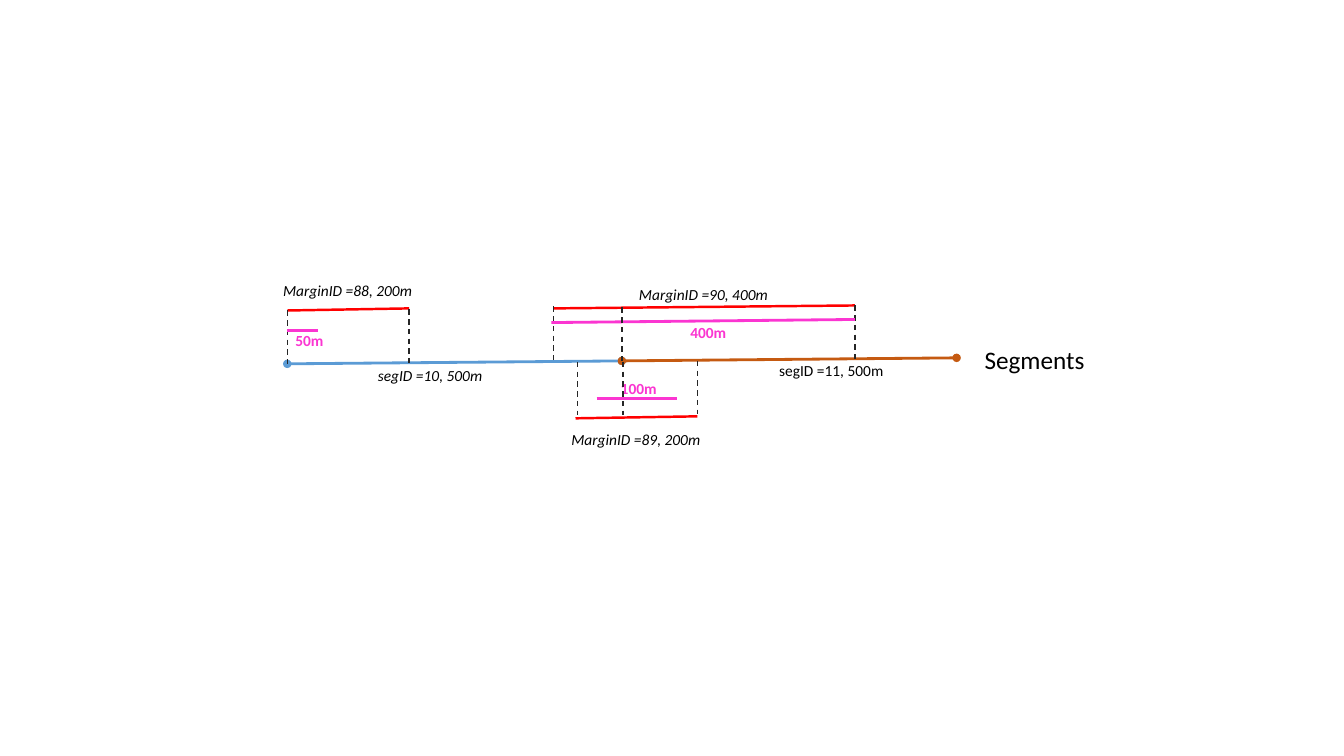
from pptx import Presentation
from pptx import util as u
from pptx.dml.color import RGBColor
from pptx.enum import dml, shapes, text
from pptx.oxml.ns import qn
from lxml import etree

Pt = u.Pt
COLORS = {
    "ink": "000000", "drop": "262626", "seg10": "5B9BD5",
    "seg11": "C55A11", "margin": "FF0000", "overlap": "FB35D1",
}
DROP_HEIGHT = 38


class Diagram:
    font = "Calibri"
    label_height = 20.9

    def __init__(self, slide):
        self.slide = slide

    def color(self, name):
        return RGBColor.from_string(COLORS[name])

    def line(self, x1, y1, x2, y2, color, width, dash=None, ends=None):
        sp = self.slide.shapes.add_connector(
            shapes.MSO_CONNECTOR.STRAIGHT, Pt(x1), Pt(y1), Pt(x2), Pt(y2))
        sp.line.color.rgb = self.color(color)
        for name, value in {"width": Pt(width), "dash_style": dash}.items():
            setattr(sp.line, name, value)
        if ends:
            ln = sp.line._get_or_add_ln()
            for tag in ("a:headEnd", "a:tailEnd"):
                etree.SubElement(ln, qn(tag)).set("type", ends)
        etree.SubElement(sp._element.spPr, qn("a:effectLst"))

    def drop(self, x, y):
        self.line(x, y, x, y + DROP_HEIGHT, "drop", 1, dash=dml.MSO_LINE.DASH)

    def label(self, words, x, y, w, color="ink", h=label_height, size=11, **style):
        sp = self.slide.shapes.add_textbox(Pt(x), Pt(y), Pt(w), Pt(h))
        tf = sp.text_frame
        for name, value in {"word_wrap": False,
                            "auto_size": text.MSO_AUTO_SIZE.SHAPE_TO_FIT_TEXT}.items():
            setattr(tf, name, value)
        r = tf.paragraphs[0].add_run()
        r.text = words
        r.font.color.rgb = self.color(color)
        for name, value in {"name": self.font, "size": Pt(size), **style}.items():
            setattr(r.font, name, value)


prs = Presentation()
prs.slide_width, prs.slide_height = Pt(960), Pt(540)
d = Diagram(prs.slides.add_slide(prs.slide_layouts[6]))

start, joint, end = (205.2, 259.9), (444.2, 257.8), (683.3, 255.6)
d.line(*start, *joint, "seg10", 2, ends="oval")
d.line(*joint, *end, "seg11", 2, ends="oval")

d.label("Segments", 696.2, 242.6, 86.4, h=29.1, size=18)
d.label("segID =10, 500m", 262.8, 257.8, 90, italic=True)
d.label("segID =11, 500m", 549.4, 254.2, 90)

for margin in [(205.2, 221.8, 292.3, 220.3),
               (395.3, 220.3, 610.6, 218.2),
               (411.1, 298.8, 498.2, 297.4)]:
    d.line(*margin, "margin", 1.75)

for words, x, y in [("MarginID =88, 200m", 195.1, 197.3),
                    ("MarginID =89, 200m", 401, 303.8),
                    ("MarginID =90, 400m", 449.3, 200.2)]:
    d.label(words, x, y, 107.3, italic=True)

for x, y in [(205.2, 221.8), (292.3, 221), (395.3, 218.9),
             (610.6, 218.2), (412.6, 258.5), (498.2, 257.8)]:
    d.drop(x, y)

for overlap in [(205.2, 236.2, 226.8, 236.2),
                (426.2, 284.4, 483.8, 284.4),
                (393.8, 230.4, 610.6, 228.2)]:
    d.line(*overlap, "overlap", 2)

for words, x, y, w in [("50m", 203.8, 233.3, 34.6),
                       ("100m", 436.3, 267.1, 40.3),
                       ("400m", 486, 227.5, 40.3)]:
    d.label(words, x, y, w, color="overlap", bold=True)

for x, y in [(445, 258.5), (444.2, 219.6)]:
    d.drop(x, y)

prs.save("out.pptx")
